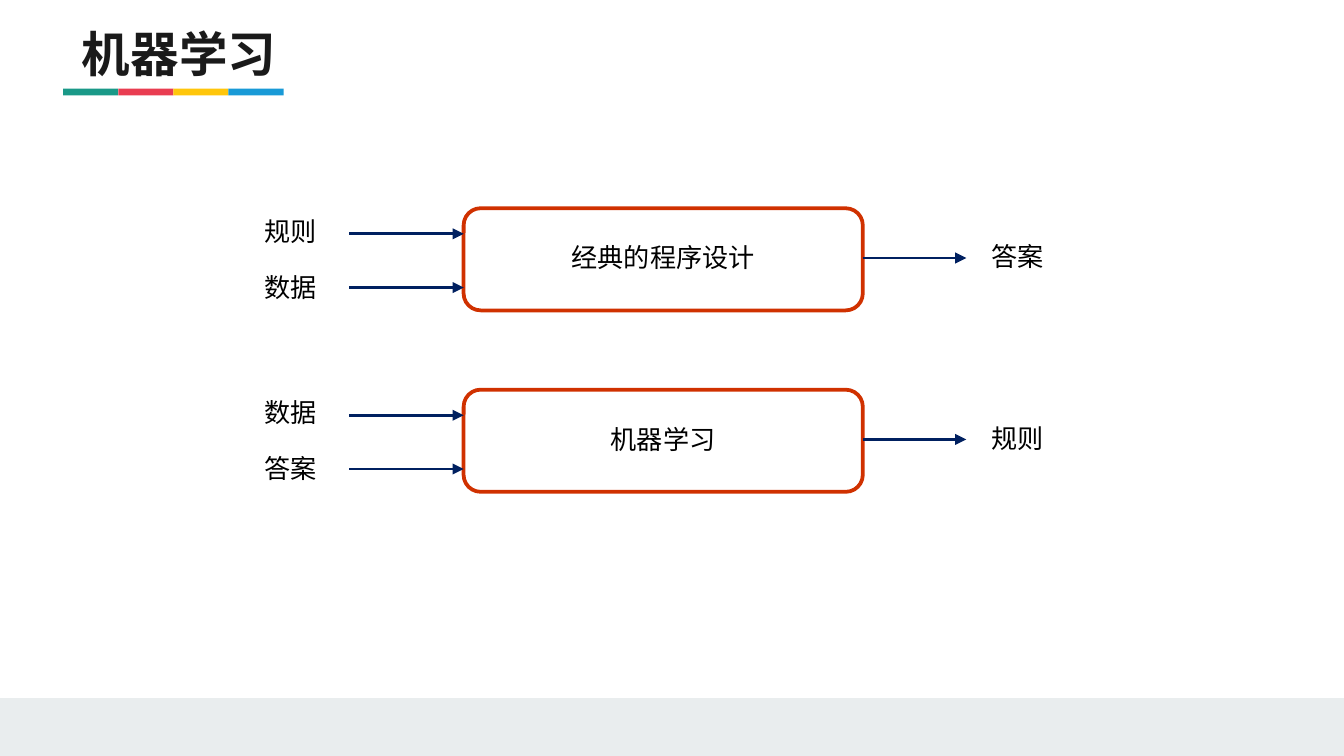
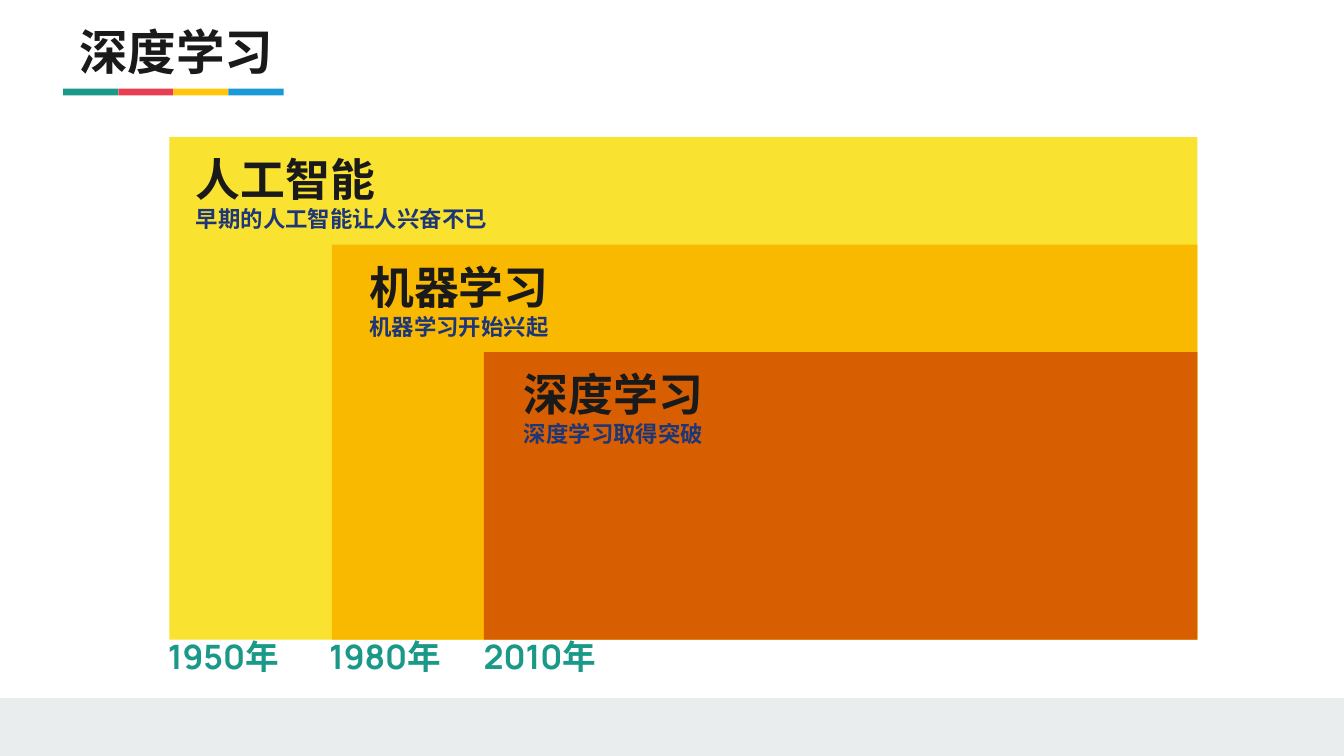
from pptx import Presentation
from pptx.dml.color import RGBColor as RGB
from pptx.enum.shapes import MSO_CONNECTOR as CONN, MSO_SHAPE as SHAPE
from pptx.enum.text import MSO_ANCHOR as ANCHOR, MSO_AUTO_SIZE as AUTO, PP_ALIGN as ALIGN
from pptx.oxml.ns import qn
from pptx.util import Inches, Pt
from lxml.etree import SubElement

WIDTH = 10
HEIGHT = WIDTH * 9 / 16
COLORS = {
    "ink": "1A1A1A", "black": "000000", "note": "1C3678", "band": "E9EDEE",
    "green": "1A9988", "red": "E93D51", "yellow": "FFC60B", "blue": "199AD7",
    "frame": "D03100", "arrow": "002060",
    "lemon": "FAE231", "amber": "F9B900", "rust": "D75F02",
}
CJK = "Noto Sans CJK SC"
STYLES = {
    "title": {"size": Pt(26), "name": CJK, "bold": True, "color": "ink"},
    "era": {"size": Pt(24), "name": CJK, "bold": True, "color": "ink"},
    "note": {"size": Pt(12), "name": CJK, "bold": True, "color": "note"},
    "year": {"size": Pt(18), "name": "Manrope", "bold": True, "color": "green"},
    "label": {"size": Pt(14), "name": "Arial", "bold": False, "color": "black"},
}


def color(name):
    return RGB.from_string(COLORS[name])


def write(tf, lines, anchor=ANCHOR.TOP, inset=0.1, wrap=True):
    frame = {"word_wrap": wrap, "auto_size": AUTO.NONE, "vertical_anchor": anchor,
             "margin_left": Inches(0.1), "margin_right": Inches(0.1),
             "margin_top": Inches(inset), "margin_bottom": Inches(inset)}
    for key, value in frame.items():
        setattr(tf, key, value)
    for i, (text, style) in enumerate(lines):
        p = tf.add_paragraph() if i else tf.paragraphs[0]
        for key, value in {"alignment": ALIGN.LEFT, "line_spacing": 1.0,
                           "space_before": Pt(0), "space_after": Pt(0)}.items():
            setattr(p, key, value)
        r = p.add_run()
        r.text = text
        for key, value in STYLES[style].items():
            if key == "color":
                r.font.color.rgb = color(value)
            else:
                setattr(r.font, key, value)
        SubElement(r.font._element, qn("a:ea"), typeface=CJK)


def add_text(s, x, y, w, h, lines, **options):
    sp = s.shapes.add_textbox(Inches(x), Inches(y), Inches(w), Inches(h))
    write(sp.text_frame, lines, **options)


def label_width(text):
    return len(text) * 14 / 72 + 0.2


def add_label(s, x, y, text):
    add_text(s, x, y, label_width(text), 0.34, [(text, "label")], inset=0.05, wrap=False)


def add_box(s, x, y, w, h, fill=None, line=None, kind=SHAPE.RECTANGLE):
    sp = s.shapes.add_shape(kind, Inches(x), Inches(y), Inches(w), Inches(h))
    sp.shadow.inherit = False
    if fill:
        sp.fill.solid()
        sp.fill.fore_color.rgb = color(fill)
    else:
        sp.fill.background()
    if line:
        sp.line.color.rgb = color(line)
        sp.line.width = Pt(2)
    else:
        sp.line.fill.background()


def add_arrow(s, x, y, length):
    c = s.shapes.add_connector(CONN.STRAIGHT, Inches(x), Inches(y), Inches(x + length), Inches(y))
    c.line.color.rgb = color("arrow")
    c.line.width = Pt(1.5)
    SubElement(c.line._get_or_add_ln(), qn("a:tailEnd"), type="triangle")
    SubElement(c._element.spPr, qn("a:effectLst"))


def add_base(prs, title, x, y, w):
    s = prs.slides.add_slide(prs.slide_layouts[5])
    add_box(s, 0, HEIGHT - 0.43, WIDTH, 0.43, "band")
    for i, name in enumerate(("green", "red", "yellow", "blue")):
        add_box(s, 0.47 + i * 0.41, 0.66, 0.41, 0.05, name)
    sp = s.shapes.title
    for key, value in {"left": x, "top": y, "width": w, "height": 0.7}.items():
        setattr(sp, key, Inches(value))
    write(sp.text_frame, [(title, "title")])
    return s


def add_flow(s, x, y, inputs, process, output):
    frame_x, frame_w = x + 1.58, 2.97
    add_box(s, frame_x, y, frame_w, 0.76, line="frame", kind=SHAPE.ROUNDED_RECTANGLE)
    add_label(s, frame_x + (frame_w - label_width(process)) / 2, y + 0.2, process)
    for i, name in enumerate(inputs):
        add_arrow(s, x + 0.73, y + 0.19 + i * 0.4, 0.85)
        add_label(s, x, y + i * 0.42, name)
    add_arrow(s, frame_x + frame_w, y + 0.37, 0.77)
    add_label(s, x + 5.41, y + 0.19, output)


def add_era(s, x, y, right, bottom, fill, indent, width, name, note):
    add_box(s, x, y, right - x, bottom - y, fill)
    add_text(s, x + indent, y + 0.01, width, 0.7, [(name, "era"), (note, "note")])


def flow_slide(prs):
    s = add_base(prs, "机器学习", 0.51, 0.08, 1.98)
    flows = [(("规则", "数据"), "经典的程序设计", "答案"),
             (("数据", "答案"), "机器学习", "规则")]
    for i, flow in enumerate(flows):
        add_flow(s, 1.87, 1.55 + i * 1.35, *flow)


def era_slide(prs):
    s = add_base(prs, "深度学习", 0.49, 0.06, 1.84)
    eras = [(1.26, "lemon", 0.1, 2.47, "人工智能", "早期的人工智能让人兴奋不已"),
            (2.47, "amber", 0.18, 1.89, "机器学习", "机器学习开始兴起"),
            (3.6, "rust", 0.2, 1.89, "深度学习", "深度学习取得突破")]
    for i, (x, *era) in enumerate(eras):
        add_era(s, x, 1.02 + i * 0.8, 8.91, 4.76, *era)
    for x, year in ((1.15, "1950年"), (2.35, "1980年"), (3.5, "2010年")):
        add_text(s, x, 4.67, 1.18, 0.43, [(year, "year")], anchor=ANCHOR.MIDDLE)


def main():
    prs = Presentation()
    prs.slide_width, prs.slide_height = Inches(WIDTH), Inches(HEIGHT)
    flow_slide(prs)
    era_slide(prs)
    prs.save("out.pptx")


if __name__ == "__main__":
    main()
